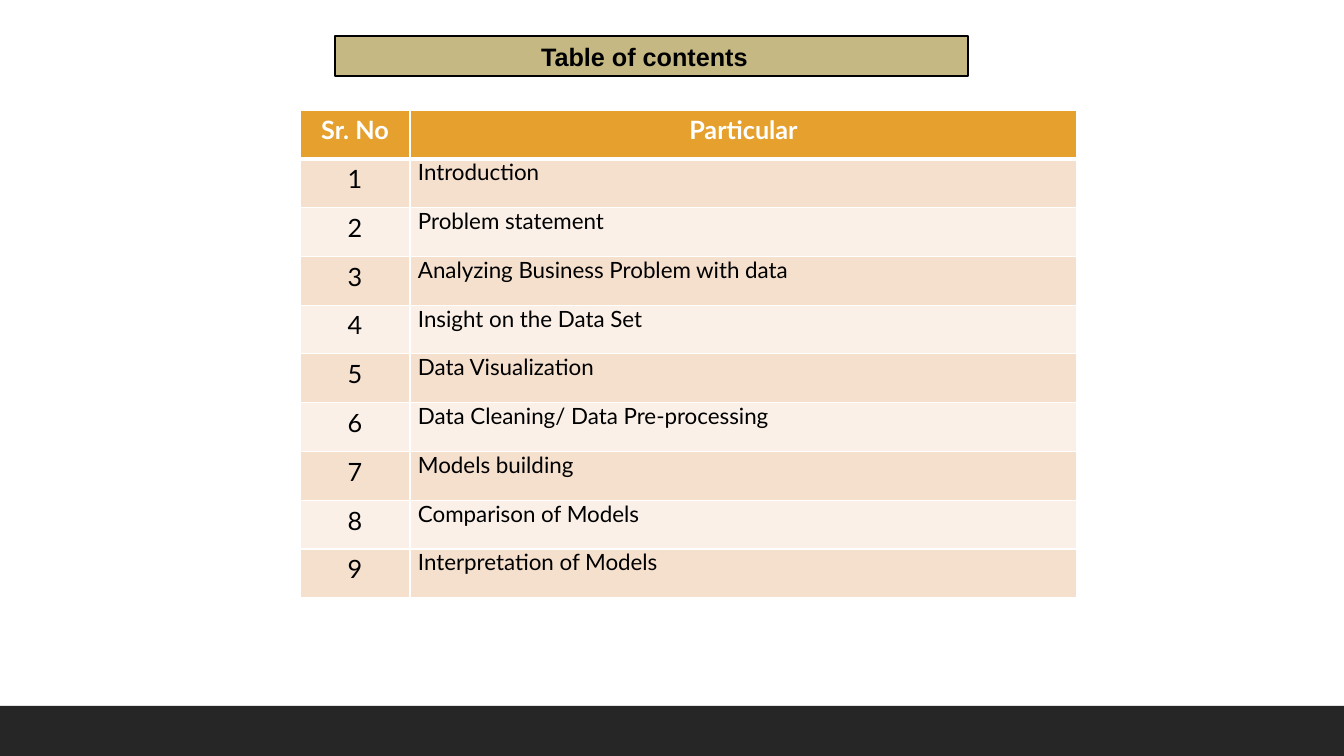
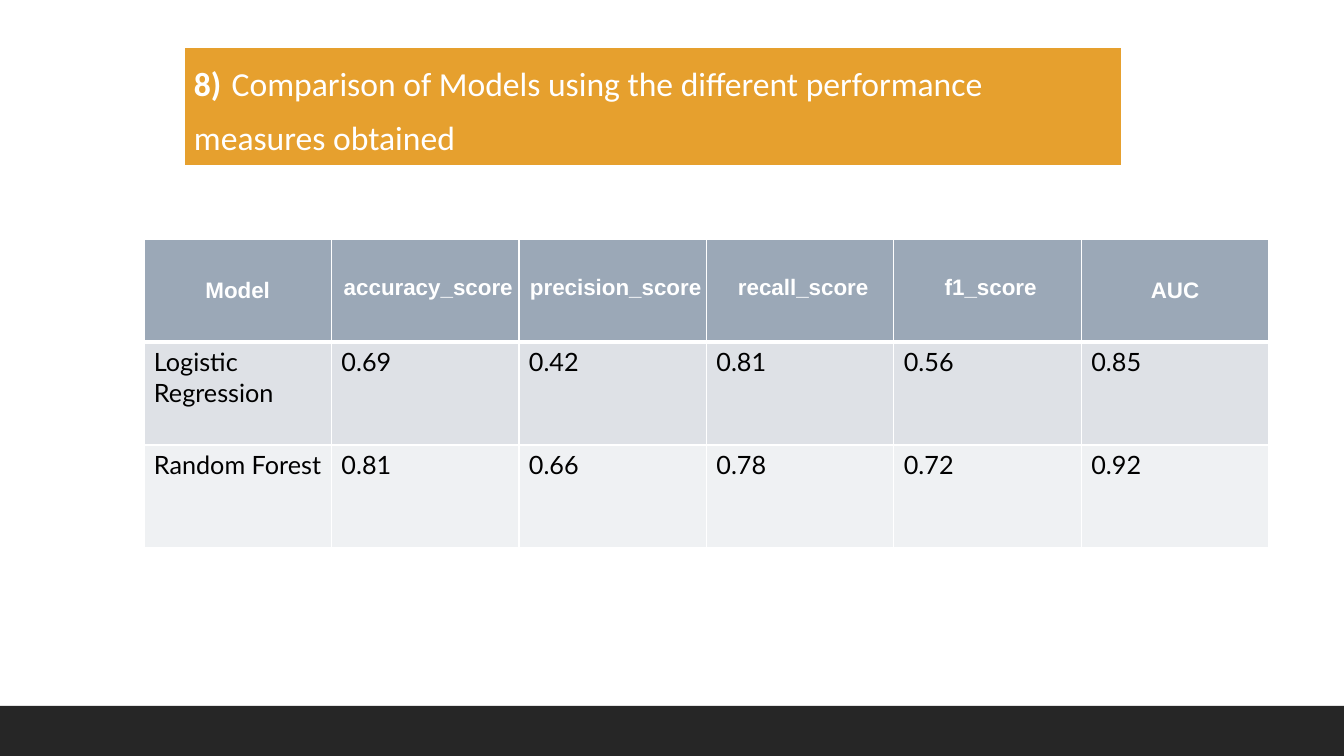
from lxml.etree import SubElement
from pptx import Presentation
from pptx.dml.color import RGBColor
from pptx.enum.shapes import MSO_SHAPE
from pptx.enum.text import MSO_ANCHOR, PP_ALIGN
from pptx.oxml.ns import qn
from pptx.util import Emu, Pt

EMU_PER_PX = 914400 / 100.8
WIDTH, HEIGHT = 1344, 756
WHITE, BLACK, FOOTER = "FFFFFF", "000000", "262626"
ORANGE, KHAKI, SLATE = "E6A02E", "C5B883", "9BA8B7"
ORANGE_BANDS = ("F5DFCD", "FAF0E8")
SLATE_BANDS = ("DEE1E6", "EFF1F3")

CONTENTS = [
    "Introduction", "Problem statement", "Analyzing Business Problem with data",
    "Insight on the Data Set", "Data Visualization",
    "Data Cleaning/ Data Pre-processing", "Models building",
    "Comparison of Models", "Interpretation of Models",
]
SCORES = [
    ["Model", "accuracy_score", "precision_score", "recall_score", "f1_score", "AUC"],
    ["Logistic Regression", "0.69", "0.42", "0.81", "0.56", "0.85"],
    ["Random Forest", "0.81", "0.66", "0.78", "0.72", "0.92"],
]


def px(length):
    return Emu(round(length * EMU_PER_PX))


def color(value):
    return RGBColor.from_string(value)


def write(paragraph, text, size=18, font="Lato", ink=BLACK, bold=False, align=None):
    """Append a formatted run to the paragraph."""
    run = paragraph.add_run()
    run.text = text
    run.font.size, run.font.name, run.font.bold = Pt(size), font, bold
    run.font.color.rgb = color(ink)
    if align is not None:
        paragraph.alignment = align


def set_margins(holder, left, top, right, bottom):
    holder.margin_left, holder.margin_top = px(left), px(top)
    holder.margin_right, holder.margin_bottom = px(right), px(bottom)


def set_borders(cell, top=1, bottom=1):
    """Draw white cell borders; widths are in points."""
    properties = cell._tc.get_or_add_tcPr()
    for side, width in (("L", 1), ("R", 1), ("T", top), ("B", bottom)):
        border = SubElement(properties, qn(f"a:ln{side}"), w=str(Pt(width)))
        fill = SubElement(border, qn("a:solidFill"))
        SubElement(fill, qn("a:srgbClr"), val=WHITE)


class Deck:
    def __init__(self):
        self.presentation = Presentation()
        self.presentation.slide_width = px(WIDTH)
        self.presentation.slide_height = px(HEIGHT)
        self.slide = None

    def add_slide(self):
        """Start a slide with the shared footer band."""
        self.slide = self.presentation.slides.add_slide(
            self.presentation.slide_layouts[6])
        self.box(0, 706, WIDTH, HEIGHT - 706, FOOTER)

    def box(self, left, top, width, height, fill, line=None, line_width=1):
        shape = self.slide.shapes.add_shape(
            MSO_SHAPE.RECTANGLE, px(left), px(top), px(width), px(height))
        shape.shadow.inherit = False
        shape.fill.solid()
        shape.fill.fore_color.rgb = color(fill)
        if line:
            shape.line.color.rgb = color(line)
            shape.line.width = Pt(line_width)
        else:
            shape.line.fill.background()
        return shape

    def title(self, left, top, width, height, runs, fill, line, line_width,
              align=PP_ALIGN.LEFT, right_margin=10):
        """Add a title box; runs are pairs of text and its format."""
        frame = self.box(left, top, width, height, fill, line, line_width).text_frame
        frame.word_wrap = True
        frame.vertical_anchor = MSO_ANCHOR.TOP
        set_margins(frame, 10, 5, right_margin, 5)
        for text, style in runs:
            write(frame.paragraphs[0], text, align=align, **style)

    def table(self, left, top, width, height, rows, header_fill, bands, style_cell,
              column_widths=None):
        """Add a banded table; style_cell formats one cell and writes its text."""
        table = self.slide.shapes.add_table(
            len(rows), len(rows[0]), px(left), px(top), px(width), px(height)).table
        table.horz_banding = False
        for column, column_width in zip(table.columns, column_widths or []):
            column.width = px(column_width)
        for r, row in enumerate(rows):
            for c, text in enumerate(row):
                cell = table.cell(r, c)
                set_borders(cell, top=3 if r == 1 else 1, bottom=3 if r == 0 else 1)
                cell.fill.solid()
                cell.fill.fore_color.rgb = color(
                    bands[(r - 1) % 2] if r else header_fill)
                set_margins(cell, 10, 5, 10, 5)
                style_cell(cell, r, c, text)


def style_contents_cell(cell, row, column, text):
    paragraph = cell.text_frame.paragraphs[0]
    if row == 0:
        write(paragraph, text, ink=WHITE, bold=True, align=PP_ALIGN.CENTER)
    elif column == 0:
        write(paragraph, text, align=PP_ALIGN.CENTER)
    else:
        set_margins(cell, 8, 0, 0, 0)
        write(paragraph, text, size=16)


def style_score_cell(cell, row, column, text):
    paragraph = cell.text_frame.paragraphs[0]
    if row:
        write(paragraph, text)
        return
    cell.vertical_anchor = MSO_ANCHOR.MIDDLE
    if text.endswith("_score"):
        set_margins(cell, 6, 0, 0, 0)
        paragraph.line_spacing = Pt(13.3)
    write(paragraph, text, size=16, font="Arial", ink=WHITE, bold=True,
          align=PP_ALIGN.CENTER)


def add_contents(deck):
    deck.add_slide()
    heading = dict(size=18, font="Arial", bold=True)
    deck.title(335, 36, 633, 40, [("Table of contents", heading)],
               KHAKI, BLACK, 1.25, align=PP_ALIGN.CENTER, right_margin=24)
    rows = [["Sr. No", "Particular"]]
    rows += [[str(number), topic] for number, topic in enumerate(CONTENTS, 1)]
    deck.table(300, 110, 777, 488, rows, ORANGE, ORANGE_BANDS,
               style_contents_cell, column_widths=(110, 667))


def add_comparison(deck):
    deck.add_slide()
    plain = dict(size=24, font="Calibri", ink=WHITE)
    strong = dict(plain, bold=True)
    spacer = dict(strong, size=32)
    deck.title(184, 47, 938, 119, [
        ("8)", strong), (" ", spacer),
        ("Comparison of Models using the different performance measures obtained",
         plain),
        (" ", spacer),
    ], ORANGE, WHITE, 2)
    deck.table(144, 239, 1125, 309, SCORES, SLATE, SLATE_BANDS, style_score_cell)


def main():
    deck = Deck()
    add_contents(deck)
    add_comparison(deck)
    deck.presentation.save("out.pptx")


if __name__ == "__main__":
    main()
